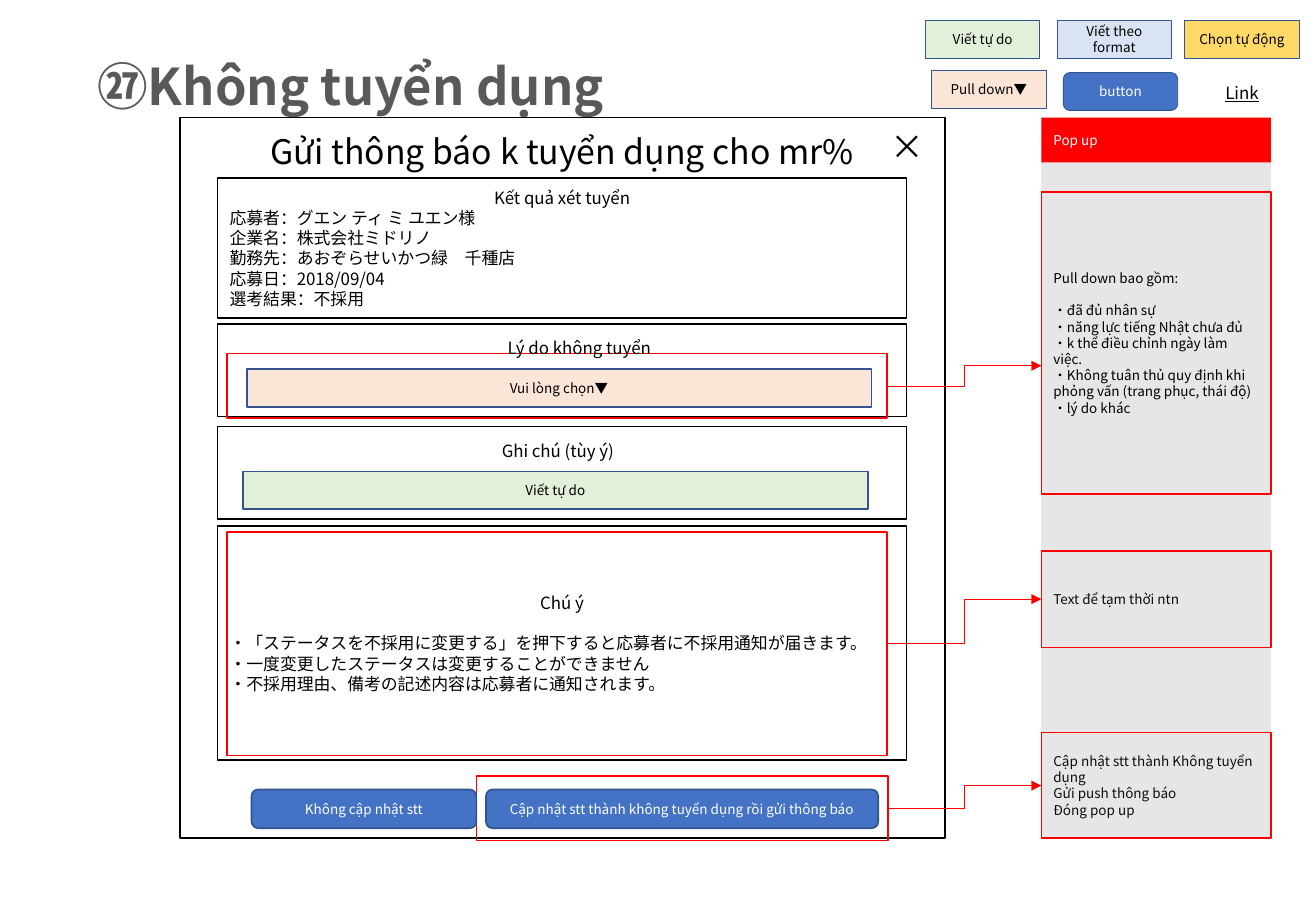
from lxml.etree import SubElement
from pptx import Presentation
from pptx.dml.color import RGBColor
from pptx.enum.shapes import MSO_CONNECTOR as Connector, MSO_SHAPE as Shape
from pptx.enum.text import MSO_ANCHOR as Anchor, MSO_AUTO_SIZE as AutoSize, PP_ALIGN as Align
from pptx.oxml.ns import qn
from pptx.util import Cm, Pt

FONT = "Noto Sans CJK JP"
BLACK, WHITE, RED, NAVY, BLUE = "000000", "FFFFFF", "FF0000", "325491", "4472C4"
PEACH, GREEN, PALE_BLUE, YELLOW, GREY = "FBE5D6", "E2F0D9", "DAE3F3", "FFD966", "E7E6E6"
DARK = "0D0D0D"

presentation = Presentation()
presentation.slide_width, presentation.slide_height = Cm(27.51), Cm(19.05)
slide = presentation.slides.add_slide(presentation.slide_layouts[5])


def write(shape, lines, size, color=BLACK, first=Align.CENTER, rest=Align.LEFT,
          gap=0, bold=False, underline=False, spacing=1.2, anchor=Anchor.MIDDLE):
    frame = shape.text_frame
    frame.word_wrap = True
    frame.auto_size = AutoSize.NONE
    frame.vertical_anchor = anchor
    for index, line in enumerate(lines):
        paragraph = frame.add_paragraph() if index else frame.paragraphs[0]
        paragraph.alignment = rest if index else first
        paragraph.line_spacing = Pt(size * spacing)
        paragraph.space_before = Pt(gap if index == 1 else 0)
        run = paragraph.add_run()
        run.text = line
        run.font.name = FONT
        run.font.size = Pt(size)
        run.font.bold = bold
        run.font.underline = underline
        run.font.color.rgb = RGBColor.from_string(color)
        SubElement(run.font._element, qn("a:ea"), typeface=FONT)


def add_box(place, fill=None, line=None, weight=1, kind=Shape.RECTANGLE):
    shape = slide.shapes.add_shape(kind, *map(Cm, place))
    shape.shadow.inherit = False
    if fill:
        shape.fill.solid()
        shape.fill.fore_color.rgb = RGBColor.from_string(fill)
    else:
        shape.fill.background()
    if line:
        shape.line.color.rgb = RGBColor.from_string(line)
        shape.line.width = Pt(weight)
    else:
        shape.line.fill.background()
    return shape


title = slide.shapes.title
title.left, title.top, title.width, title.height = Cm(1.78), Cm(0.91), Cm(23.85), Cm(1.55)
write(title, ["㉗Không tuyển dụng"], 30, "595959", Align.LEFT, bold=True,
      spacing=1.3, anchor=Anchor.TOP)

note_left, note_width = 21.77, 4.8
panel_left, panel_width = 4.55, 14.4
dialog_left, dialog_top, dialog_width, dialog_height = 3.76, 2.46, 16, 15.06

add_box((note_left, dialog_top, note_width, dialog_height), GREY)
add_box((dialog_left, dialog_top, dialog_width, dialog_height), line=BLACK)

result_panel = add_box((panel_left, 3.73, panel_width, 2.92), line=BLACK)
write(result_panel, [
    "Kết quả xét tuyển",
    "応募者：グエン ティ ミ ユエン様",
    "企業名：株式会社ミドリノ",
    "勤務先：あおぞらせいかつ緑　千種店",
    "応募日：2018/09/04",
    "選考結果：不採用",
], 10)

for top in (6.78, 8.92):
    add_box((panel_left, top, panel_width, 1.93), line=BLACK)

warning_panel = add_box((panel_left, 11, panel_width, 4.9), line=BLACK)
write(warning_panel, [
    "Chú ý",
    "・「ステータスを不採用に変更する」を押下すると応募者に不採用通知が届きます。",
    "・一度変更したステータスは変更することができません",
    "・不採用理由、備考の記述内容は応募者に通知されます。",
], 10, gap=12)

for place in ((4.75, 7.39, 13.8, 1.35), (4.75, 11.13, 13.8, 4.67), (9.96, 16.23, 8.6, 1.35)):
    add_box(place, line=RED)

popup_header = add_box((note_left, dialog_top, note_width, 0.94), RED)
write(popup_header, ["Pop up"], 8, WHITE, Align.LEFT)

notes = [
    (4.01, 6.32, BLACK, [
        "Pull down bao gồm:",
        "・đã đủ nhân sự",
        "・năng lực tiếng Nhật chưa đủ",
        "・k thể điều chỉnh ngày làm việc.",
        "・Không tuân thủ quy định khi phỏng vấn (trang phục, thái độ)",
        "・lý do khác",
    ], 9.6),
    (11.53, 2.01, DARK, ["Text để tạm thời ntn"], 0),
    (15.32, 2.21, DARK, [
        "Cập nhật stt thành Không tuyển dụng",
        "Gửi push thông báo",
        "Đóng pop up",
    ], 0),
]
for top, height, color, lines, gap in notes:
    note = add_box((note_left, top, note_width, height), line=RED)
    write(note, lines, 8, color, Align.LEFT, gap=gap)

labels = [
    ((dialog_left, 2.62, dialog_width, 1.12), "Gửi thông báo k tuyển dụng cho mr%", 20, Align.CENTER),
    ((18.16, 2.51, 1.6, 1.12), "×", 20, Align.CENTER),
    ((10.36, 6.93, 3.91, 0.69), "Lý do không tuyển", 10, Align.LEFT),
    ((10.24, 9.09, 4.11, 0.69), "Ghi chú (tùy ý)", 10, Align.LEFT),
    ((24.77, 1.6, 2.39, 0.69), "Link", 10, Align.CENTER),
]
for place, text, size, align in labels:
    label = slide.shapes.add_textbox(*map(Cm, place))
    write(label, [text], size, first=align, underline=text == "Link", anchor=Anchor.TOP)

fields = [
    ((5.16, 7.72, 13.06, 0.79), PEACH, 1, "Vui lòng chọn▼"),
    ((5.08, 9.86, 13.06, 0.79), GREEN, 1, "Viết tự do"),
    ((10.16, 16.51, 8.2, 0.81), BLUE, 1, "Cập nhật stt thành không tuyển dụng rồi gửi thông báo"),
    ((5.26, 16.51, 4.7, 0.81), BLUE, 1, "Không cập nhật stt"),
    ((22.23, 1.52, 2.39, 0.79), BLUE, 0.5, "button"),
    ((19.35, 0.43, 2.39, 0.79), GREEN, 0.5, "Viết tự do"),
    ((19.48, 1.47, 2.39, 0.79), PEACH, 0.5, "Pull down▼"),
    ((22.1, 0.43, 2.39, 0.79), PALE_BLUE, 0.5, "Viết theo format"),
    ((24.77, 0.43, 2.39, 0.79), YELLOW, 0.5, "Chọn tự động"),
]
for place, fill, weight, text in fields:
    is_button = fill == BLUE
    kind = Shape.ROUNDED_RECTANGLE if is_button else Shape.RECTANGLE
    field = add_box(place, fill, NAVY, weight, kind)
    write(field, [text], 8, WHITE if is_button else BLACK)

for start, end in ((8.08, 7.65), (13.46, 12.53), (16.91, 16.43)):
    arrow = slide.shapes.add_connector(
        Connector.ELBOW, Cm(18.56), Cm(start), Cm(note_left), Cm(end))
    arrow.line.color.rgb = RGBColor.from_string(RED)
    arrow.line.width = Pt(0.5)
    SubElement(arrow.line._get_or_add_ln(), qn("a:tailEnd"), type="triangle")
    SubElement(arrow._element.spPr, qn("a:effectLst"))

presentation.save("out.pptx")
